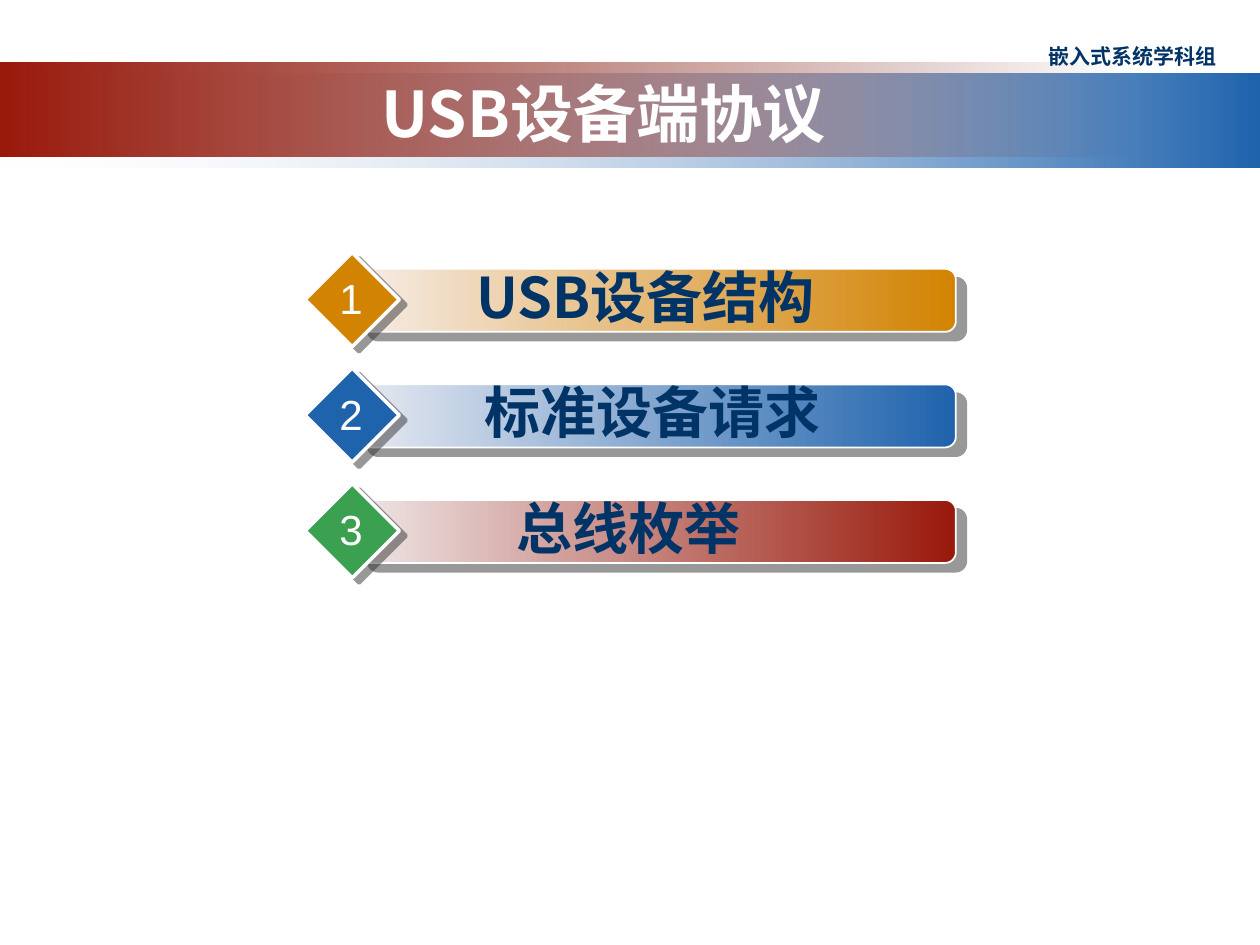
from lxml import etree
from pptx import Presentation
from pptx.dml.color import RGBColor
from pptx.enum.shapes import MSO_SHAPE
from pptx.enum.text import MSO_ANCHOR, MSO_AUTO_SIZE, PP_ALIGN
from pptx.oxml.ns import qn
from pptx.util import Cm, Pt

RECTANGLE, ROUNDED, DIAMOND = MSO_SHAPE.RECTANGLE, MSO_SHAPE.ROUNDED_RECTANGLE, MSO_SHAPE.DIAMOND
LEFT, CENTER, RIGHT = PP_ALIGN.LEFT, PP_ALIGN.CENTER, PP_ALIGN.RIGHT
MIDDLE = MSO_ANCHOR.MIDDLE
NO_FIT, GROW = MSO_AUTO_SIZE.NONE, MSO_AUTO_SIZE.SHAPE_TO_FIT_TEXT

WHITE, NAVY, SHADOW = "FFFFFF", "003366", "333333"
ORANGE, BLUE, RED, GREEN = "D28302", "1F63AD", "99190B", "3CA051"
CJK, LATIN = "Noto Sans CJK SC", "Arial"


def color(value):
    return RGBColor.from_string(value)


class SlideBuilder:
    def __init__(self, slide):
        self.slide = slide

    def place(self, item, box):
        item.left, item.top, item.width, item.height = (Cm(value) for value in box)

    def set_text(self, item, text, size, ink, font=CJK, bold=True, align=CENTER):
        frame = item.text_frame
        frame.text = text
        paragraph = frame.paragraphs[0]
        paragraph.alignment = align
        for run in paragraph.runs:
            run.font.size, run.font.bold, run.font.name = Pt(size), bold, font
            run.font.color.rgb = color(ink)
            etree.SubElement(run.font._element, qn("a:ea"), typeface=font)

    def title(self, box, text, size):
        heading = self.slide.shapes.title
        self.place(heading, box)
        self.set_text(heading, text, size, WHITE)
        heading.text_frame.vertical_anchor = MIDDLE
        heading.text_frame.auto_size = NO_FIT
        heading.element.getparent().append(heading.element)

    def label(self, box, text, size, ink, wrap=True, indent=0, **style):
        caption = self.slide.shapes.add_textbox(*(Cm(value) for value in box))
        self.set_text(caption, text, size, ink, **style)
        caption.text_frame.word_wrap = wrap
        caption.text_frame.auto_size = GROW
        if indent:
            properties = caption.text_frame.paragraphs[0]._p.get_or_add_pPr()
            properties.set("marL", str(Cm(indent)))
            properties.set("indent", "0")

    def shape(self, kind, box, colors, clear=None, outline=0, shadow=None):
        figure = self.slide.shapes.add_shape(kind, *(Cm(value) for value in box))
        if len(colors) == 1:
            figure.fill.solid()
            figure.fill.fore_color.rgb = color(colors[0])
        else:
            figure.fill.gradient()
            figure.fill.gradient_angle = 0
            for stop, value in zip(figure.fill.gradient_stops, colors):
                stop.color.rgb = color(value)
        if clear is not None:
            stop = figure.element.findall(".//" + qn("a:gs"))[clear]
            etree.SubElement(stop[0], qn("a:alpha"), val="0")
        if outline:
            figure.line.color.rgb = color(WHITE)
            figure.line.width = Pt(outline)
        else:
            figure.line.fill.background()
        figure.shadow.inherit = False
        if shadow:
            distance, angle = shadow
            effects = figure.element.find(".//" + qn("a:effectLst"))
            outer = etree.SubElement(effects, qn("a:outerShdw"), dist=str(Pt(distance)),
                                     dir=str(angle * 60000), algn="ctr", rotWithShape="0")
            tint = etree.SubElement(outer, qn("a:srgbClr"), val=SHADOW)
            etree.SubElement(tint, qn("a:alpha"), val="50000")
        return figure

    def agenda_item(self, number, text, top, pale, deep, marker, left, align, indent):
        bar = self.shape(ROUNDED, (7.2, top + 0.33, 12.07, 1.27), (pale, deep),
                         outline=1, shadow=(7.8, 40))
        bar.adjustments[0] = 0.17
        self.shape(DIAMOND, (6.15, top, 1.9, 1.9), (marker,), outline=2, shadow=(5, 37))
        self.label((left, top + 0.07, 9.53, 1.63), text, 32, NAVY, align=align, indent=indent)
        self.label((6.58, top + 0.28, 0.99, 1.27), str(number), 24, WHITE,
                   wrap=False, font=LATIN, bold=False)


presentation = Presentation()
presentation.slide_width, presentation.slide_height = Cm(25.4), Cm(19.05)
builder = SlideBuilder(presentation.slides.add_slide(presentation.slide_layouts[5]))

builder.shape(RECTANGLE, (0, 1.48, 25.4, 1.9), ("F1F2F7", BLUE), clear=0)
builder.shape(RECTANGLE, (0, 1.26, 22.86, 1.9), (RED, "6D1208"), clear=1)
builder.label((18.85, 0.76, 5.92, 0.69), "嵌入式系统学科组", 12, NAVY,
              font="DejaVu Sans", align=RIGHT)
builder.title((1.9, 1.48, 20.53, 1.57), "USB设备端协议", 36)

AGENDA = [
    ("USB设备结构", "F6ECE6", ORANGE, ORANGE, 8.25, CENTER, 0),
    ("标准设备请求", "E6E9F1", BLUE, BLUE, 8.25, LEFT, 1.27),
    ("总线枚举", "EEE6E6", RED, GREEN, 8.89, LEFT, 1.27),
]
FIRST_TOP, PITCH = 5.09, 2.33
for index, (topic, *look) in enumerate(AGENDA):
    builder.agenda_item(index + 1, topic, FIRST_TOP + index * PITCH, *look)

presentation.save("out.pptx")
